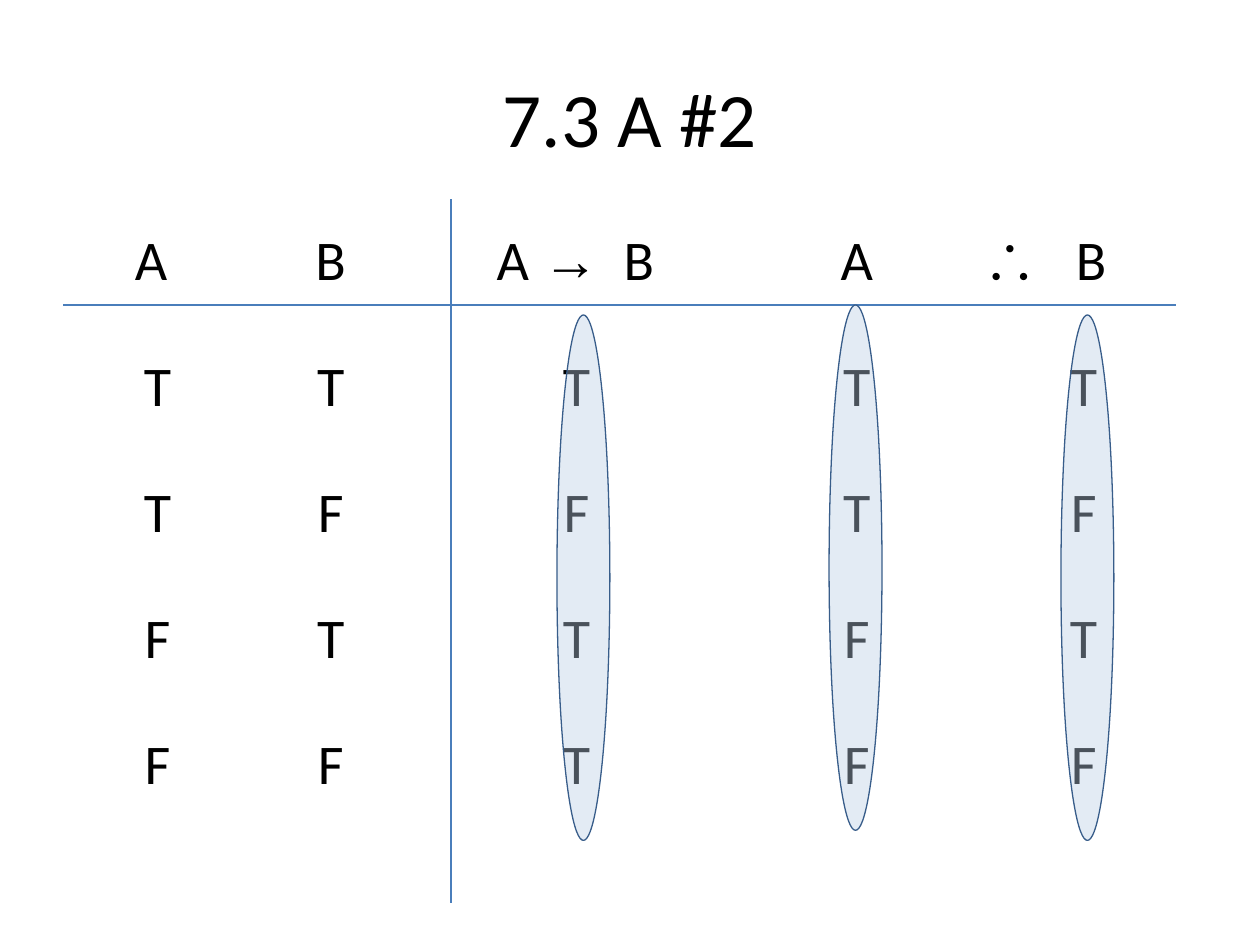
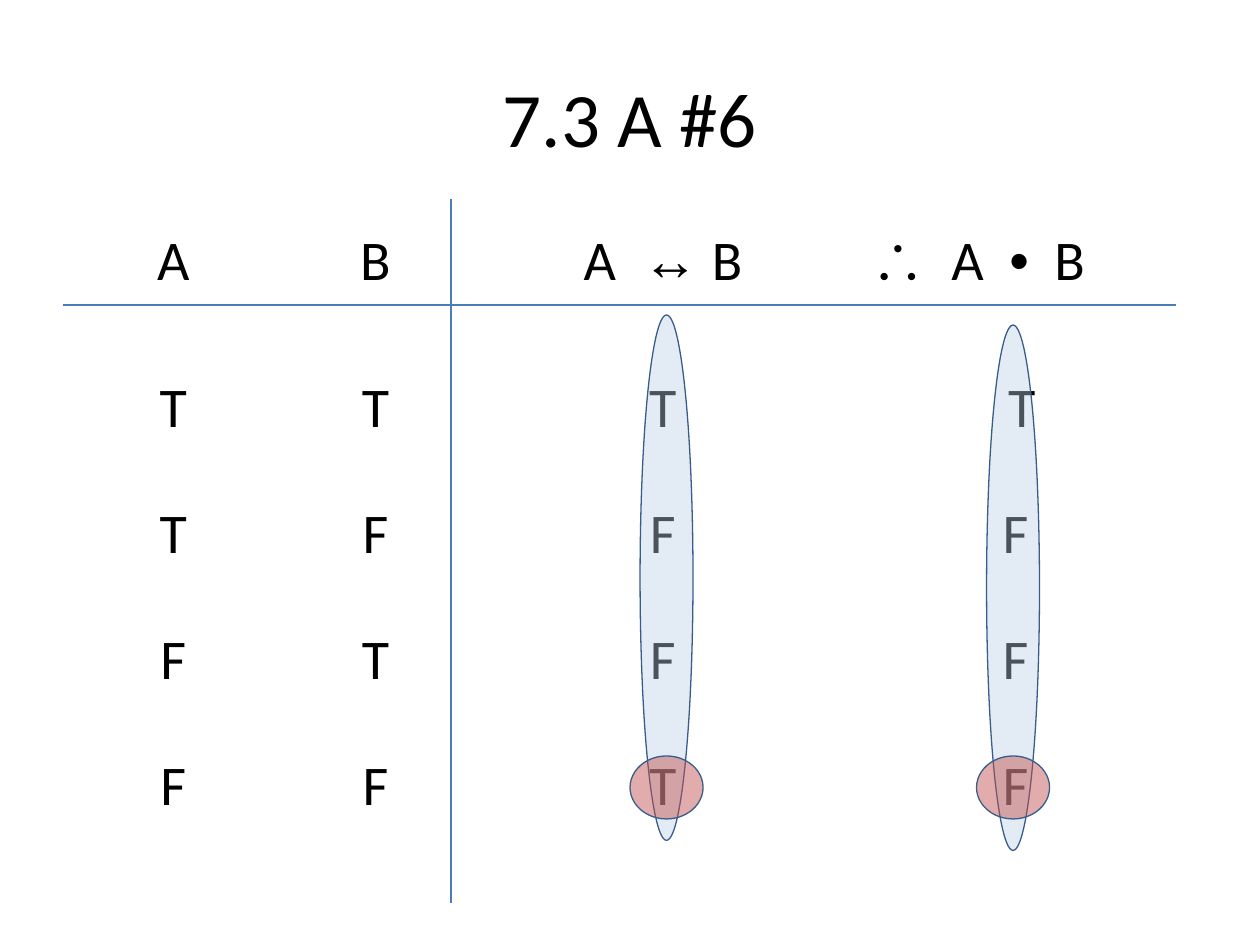
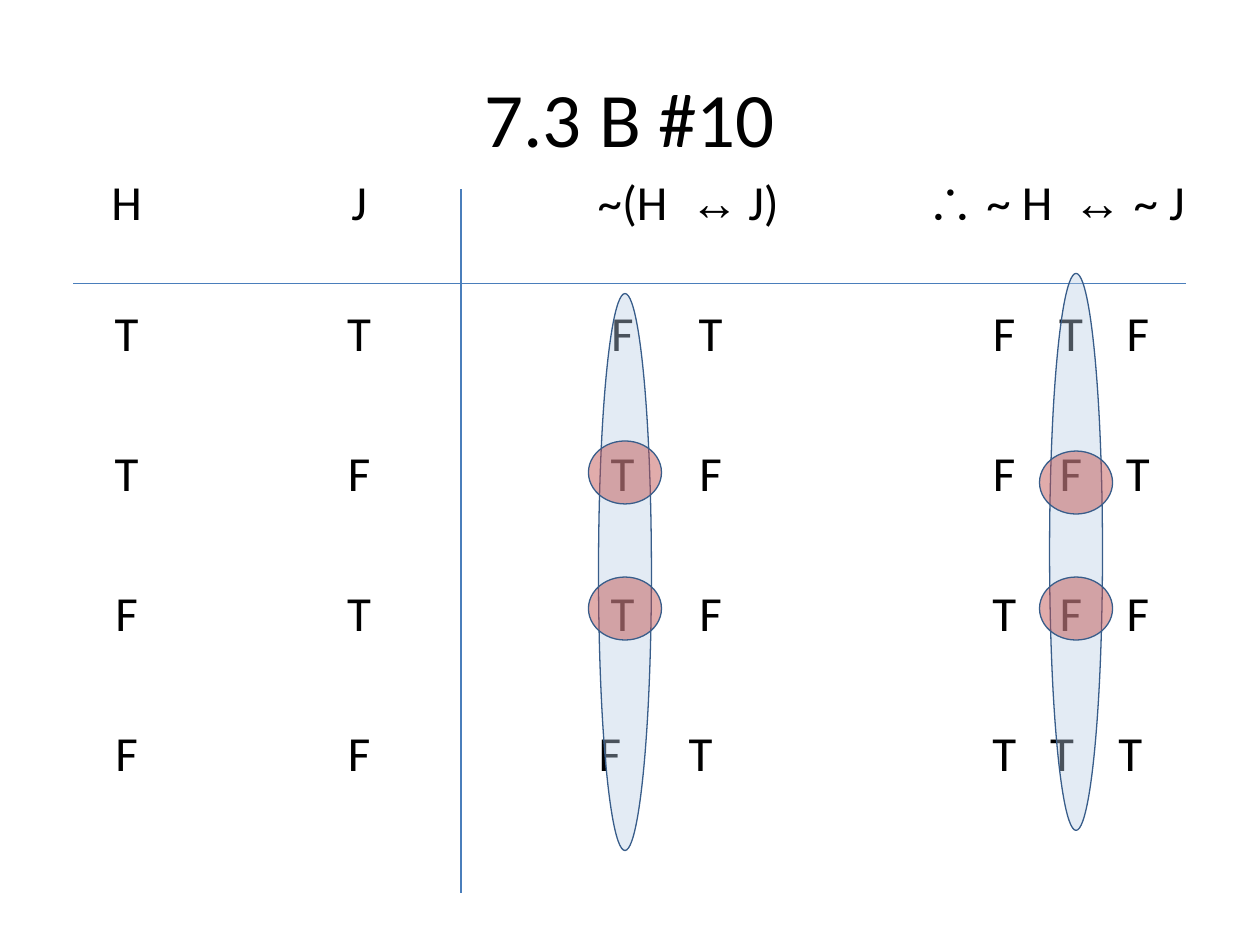
from dataclasses import dataclass
from itertools import groupby

from lxml import etree
from pptx import Presentation
from pptx.dml.color import RGBColor
from pptx.enum import shapes, text
from pptx.oxml import ns
from pptx.util import Inches, Pt


# Theme: colours and type sizes
@dataclass(frozen=True)
class Theme:
    ink: str = "000000"
    rule: str = "4A7EBB"
    outline: str = "385D8A"
    band: str = "B9CDE5"
    mark: str = "C0504D"
    band_alpha: int = 40
    mark_alpha: int = 47
    letters: str = "Calibri"
    symbols: str = "Arial"
    title_size: int = 44
    table_size: int = 32
    small_table_size: int = 28


THEME = Theme()
SYMBOLS = "→↔∴•"
BAND_WIDTH = 0.42
MARK_WIDTH, MARK_HEIGHT = 0.58, 0.5
RULE_LENGTH, DIVIDER_LENGTH, DIVIDER_OFFSET = 8.83, 5.59, 3.08


# Descriptions of the repeated elements
@dataclass(frozen=True)
class Cell:
    """Centred text, or left text whose tabs stop at the given inches."""
    text: str
    stops: tuple[float, ...] = ()


@dataclass(frozen=True)
class Column:
    width: float
    header: Cell
    body: list[Cell]


@dataclass(frozen=True)
class Band:
    """Tall ellipse over a result column, with the tops of its row marks."""
    left: float
    top: float
    height: float = 4.17
    mark_tops: tuple[float, ...] = ()


@dataclass(frozen=True)
class TruthTable:
    title: str
    left: float
    top: float
    header_height: float
    row_height: float
    columns: list[Column]
    bands: list[Band]
    rule_left: float = 0.5
    rule_top: float = 2.42
    divider_top: float = 1.58
    size: int = THEME.table_size
    bold_symbols: bool = False


def plain(values: str) -> list[Cell]:
    return [Cell(value) for value in values]


def tabbed(values: str, *stops: float) -> Cell:
    return Cell("".join("\t" + value for value in values), stops)


# Text
def write(para, content: str, *, size: int, bold_symbols: bool = False,
          stops: tuple[float, ...] = ()) -> None:
    para.alignment = text.PP_ALIGN.LEFT if stops else text.PP_ALIGN.CENTER
    if stops:
        tabs = etree.SubElement(para._p.get_or_add_pPr(), ns.qn("a:tabLst"))
        for stop in stops:
            etree.SubElement(tabs, ns.qn("a:tab"), pos=str(Inches(stop)), algn="ctr")
    for is_symbol, group in groupby(content, lambda letter: letter in SYMBOLS):
        span = para.add_run()
        span.text = "".join(group)
        font = span.font
        font.size = Pt(size)
        font.bold = is_symbol and bold_symbols
        font.color.rgb = RGBColor.from_string(THEME.ink)
        font.name = THEME.symbols if is_symbol else THEME.letters
        etree.SubElement(font._element, ns.qn("a:ea"), typeface=font.name)


def add_title(page, title: str) -> None:
    box = page.shapes.add_textbox(Inches(0.5), Inches(0.3), Inches(9), Inches(1.25))
    frame = box.text_frame
    frame.word_wrap = True
    frame.vertical_anchor = text.MSO_ANCHOR.MIDDLE
    write(frame.paragraphs[0], title, size=THEME.title_size)


# Table and its rules
def add_grid(page, spec_table: TruthTable) -> None:
    columns = spec_table.columns
    heights = [spec_table.header_height] + [spec_table.row_height] * len(columns[0].body)
    frame = page.shapes.add_table(
        len(heights), len(columns), Inches(spec_table.left), Inches(spec_table.top),
        Inches(sum(column.width for column in columns)), Inches(sum(heights)))
    table = frame.table
    table.first_row = table.horz_banding = False
    for row, height in zip(table.rows, heights):
        row.height = Inches(height)
    for index, column in enumerate(columns):
        table.columns[index].width = Inches(column.width)
        for row, content in enumerate([column.header, *column.body]):
            cell = table.cell(row, index)
            cell.fill.background()
            write(cell.text_frame.paragraphs[0], content.text, stops=content.stops,
                  size=spec_table.size, bold_symbols=spec_table.bold_symbols)


def add_rule(page, left: float, top: float, width: float = 0, height: float = 0) -> None:
    line = page.shapes.add_connector(
        shapes.MSO_CONNECTOR.STRAIGHT, Inches(left), Inches(top),
        Inches(left + width), Inches(top + height))
    line.line.color.rgb = RGBColor.from_string(THEME.rule)
    line.line.width = Pt(0.75)
    etree.SubElement(line._element.spPr, ns.qn("a:effectLst"))


# Translucent highlights
def add_ellipse(page, left: float, top: float, width: float, height: float,
                *, color: str, alpha: int) -> None:
    oval = page.shapes.add_shape(shapes.MSO_SHAPE.OVAL, Inches(left), Inches(top),
                                 Inches(width), Inches(height))
    oval.shadow.inherit = False
    oval.fill.solid()
    oval.fill.fore_color.rgb = RGBColor.from_string(color)
    shade = oval._element.spPr.find(ns.qn("a:solidFill")).find(ns.qn("a:srgbClr"))
    etree.SubElement(shade, ns.qn("a:alpha"), val=str(alpha * 1000))
    oval.line.color.rgb = RGBColor.from_string(THEME.outline)
    oval.line.width = Pt(0)


def add_highlights(page, bands: list[Band]) -> None:
    for band in bands:
        add_ellipse(page, band.left, band.top, BAND_WIDTH, band.height,
                    color=THEME.band, alpha=THEME.band_alpha)
    for band in bands:
        for top in band.mark_tops:
            add_ellipse(page, band.left - (MARK_WIDTH - BAND_WIDTH) / 2, top,
                        MARK_WIDTH, MARK_HEIGHT,
                        color=THEME.mark, alpha=THEME.mark_alpha)


def draw(page, table: TruthTable) -> None:
    add_title(page, table.title)
    add_grid(page, table)
    add_rule(page, table.rule_left + DIVIDER_OFFSET, table.divider_top,
             height=DIVIDER_LENGTH)
    add_rule(page, table.rule_left, table.rule_top, width=RULE_LENGTH)
    add_highlights(page, table.bands)


# Slide contents
FIRST, SECOND = plain("TTFF"), plain("TFTF")

TABLES = [
    TruthTable(
        "7.3 A #2", 0.5, 1.75, 1, 1,
        [Column(1.5, Cell("A "), FIRST),
         Column(1.25, Cell("B"), SECOND),
         Column(2.65, tabbed("A→B", 0.72, 1.18, 1.72), plain("TFTT")),
         Column(1.8, Cell("A"), FIRST),
         Column(1.8, Cell("∴\tB", (0.86,)), SECOND)],
        [Band(4.42, 2.5), Band(6.58, 2.42), Band(8.42, 2.5)]),
    TruthTable(
        "7.3 A #6", 0.5, 1.75, 1.17, 1,
        [Column(1.75, Cell("A"), FIRST),
         Column(1.46, Cell("B"), SECOND),
         Column(3.1, tabbed("A↔B", 0.95, 1.51, 1.96), plain("TFFT")),
         Column(2.1, Cell("∴\tA\t•\tB", (0.77, 1.18, 1.58)),
                [tabbed("T", 1.2)] + [tabbed("F", 1.15)] * 3)],
        [Band(5.08, 2.5, mark_tops=(6,)), Band(7.83, 2.58, mark_tops=(6,))]),
    TruthTable(
        "7.3 B #10", 0, 1.33, 1.04, 1.11,
        [Column(2.01, Cell("H"), FIRST),
         Column(1.68, Cell("J"), SECOND),
         Column(3.56, Cell("\t~(H\t↔\tJ)", (1.23, 1.88, 2.27)),
                [tabbed(pair, 1.15, 1.85) for pair in ("FT", "TF", "TF")]
                + [tabbed("FT", 1.05, 1.77)]),
         Column(2.42, Cell("∴\t~ H\t↔\t~ J", (0.74, 1.36, 1.85)),
                [tabbed(trio, 0.62, 1.15, 1.68) for trio in ("FTF", "FFT", "TFF")]
                + [tabbed("TTT", 0.62, 1.08, 1.62)])],
        [Band(4.75, 2.33, 4.42, (3.5, 4.58)), Band(8.33, 2.17, 4.42, (3.58, 4.58))],
        rule_left=0.58, rule_top=2.25, divider_top=1.5,
        size=THEME.small_table_size, bold_symbols=True),
]


def main() -> None:
    deck = Presentation()
    deck.slide_width, deck.slide_height = Inches(10), Inches(7.5)
    for table in TABLES:
        draw(deck.slides.add_slide(deck.slide_layouts[6]), table)
    deck.save("out.pptx")


if __name__ == "__main__":
    main()
